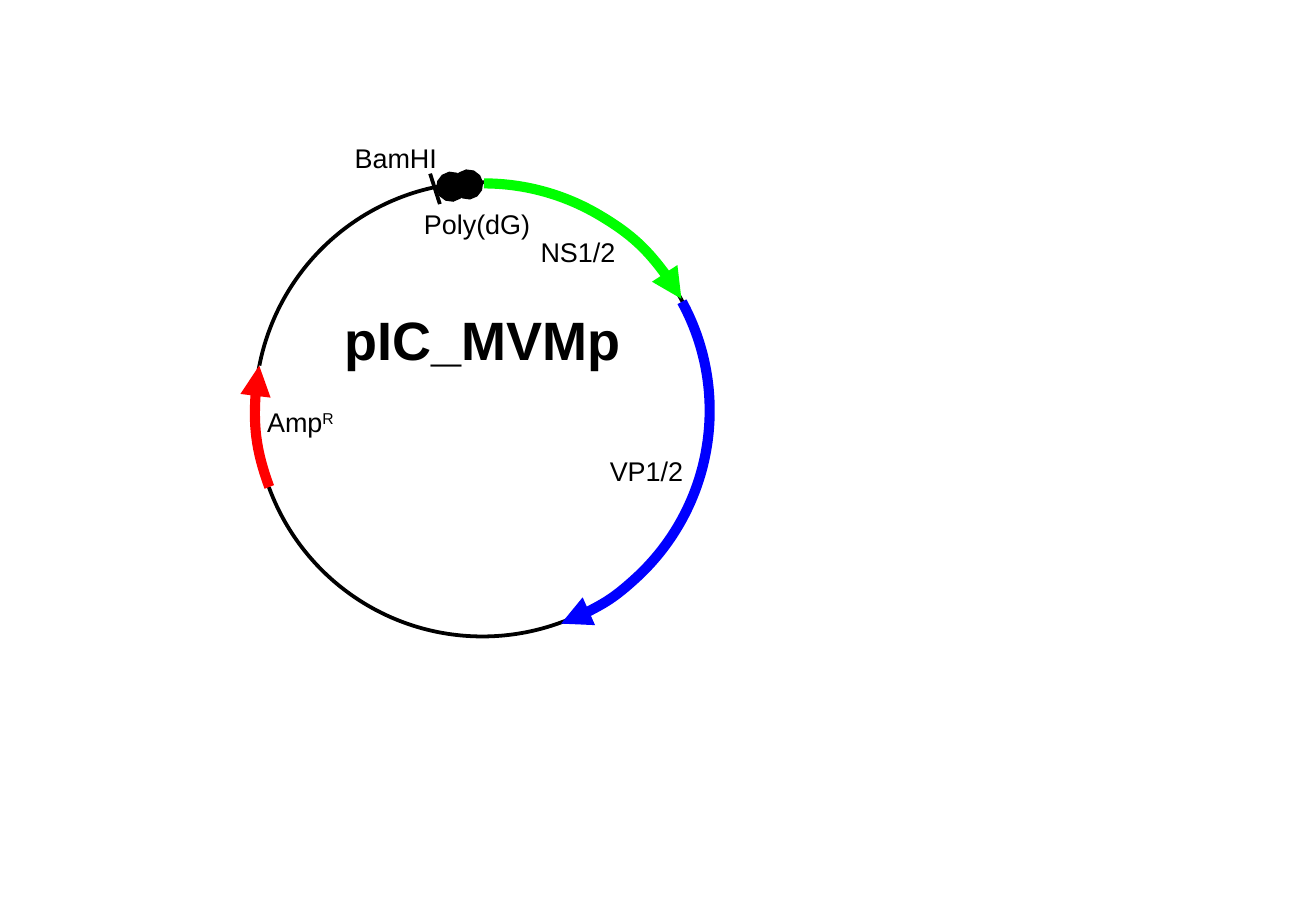
from typing import NamedTuple

from lxml.etree import SubElement
from pptx import Presentation
from pptx.dml.color import RGBColor
from pptx.enum.shapes import MSO_CONNECTOR, MSO_SHAPE
from pptx.enum.text import MSO_AUTO_SIZE
from pptx.oxml.ns import qn
from pptx.util import Inches, Pt

COLORS = {"black": "000000", "white": "FFFFFF", "green": "00FF00",
          "blue": "0000FF", "red": "FF0000"}
DIAMETER = 3.74
THIN, THICK = 2.25, 6
ADJUSTMENT_PER_DEGREE = 0.6  # 60000 angle units per degree, 100000 per adjustment


class Feature(NamedTuple):
    """A plasmid feature; start and stop are clockwise page angles from east."""
    left: float
    top: float
    rotation: float
    start: float
    stop: float
    color: str
    head: str = ""
    tail: str = "triangle"
    fill: str = ""


class Label(NamedTuple):
    """A label with its box, and an optional superscript."""
    text: str
    left: float
    top: float
    width: float
    superscript: str = ""


NS_GENE = Feature(2.11, 1.51, 330.5, 270.1, 330.54, "green")
VP_GENE = Feature(2.1, 1.51, 47.4, 331.39, 69.76, "blue")
POLY_DG = Feature(2.16, 1.51, 278.1, 260.25, 264.54, "black", "oval", "oval")
AMP_GENE = Feature(2.1, 1.49, 220.1, 159.7, 190.79, "red", fill="white")

LABELS = [
    Label("BamHI", 2.82, 1.12, 0.89),
    Label("Poly(dG)", 3.39, 1.66, 1.09),
    Label("NS1/2", 4.35, 1.89, 0.82),
    Label("VP1/2", 4.92, 3.69, 0.81),
    Label("Amp", 2.1, 3.29, 0.77, "R"),
]


def rgb(name: str) -> RGBColor:
    """Return the named colour."""
    return RGBColor.from_string(COLORS[name])


def style_line(item, color: str, width: float) -> None:
    """Set the outline colour and its width in points."""
    item.line.color.rgb = rgb(color)
    item.line.width = Pt(width)


def add_round(slide, preset, left: float, top: float, color: str,
              width: float, fill: str = ""):
    """Add a circle or an arc of the plasmid's diameter."""
    shape = slide.shapes.add_shape(preset, Inches(left), Inches(top),
                                   Inches(DIAMETER), Inches(DIAMETER))
    shape.shadow.inherit = False
    if fill:
        shape.fill.solid()
        shape.fill.fore_color.rgb = rgb(fill)
    else:
        shape.fill.background()
    style_line(shape, color, width)
    return shape


def add_feature(slide, feature: Feature) -> None:
    """Draw a feature as a thick arc with line ends."""
    arc = add_round(slide, MSO_SHAPE.ARC, feature.left, feature.top,
                    feature.color, THICK, feature.fill)
    arc.rotation = feature.rotation
    for index, angle in enumerate((feature.start, feature.stop)):
        arc.adjustments[index] = (angle - feature.rotation) % 360 * ADJUSTMENT_PER_DEGREE
    outline = arc.element.spPr.get_or_add_ln()
    for tag, ending in (("a:headEnd", feature.head), ("a:tailEnd", feature.tail)):
        if ending:
            SubElement(outline, qn(tag), type=ending)


def add_cut_site(slide) -> None:
    """Draw the tick that marks the restriction site."""
    tick = slide.shapes.add_connector(MSO_CONNECTOR.STRAIGHT, Inches(3.54), Inches(1.43),
                                      Inches(3.62), Inches(1.68))
    style_line(tick, "black", THIN)
    SubElement(tick.element.spPr, qn("a:effectLst"))


def add_text(slide, text: str, *, left: float, top: float, width: float,
             height: float = 0.37, size: float = 16, bold: bool = False,
             superscript: str = "") -> None:
    """Add a one-line text box, with an optional superscript."""
    box = slide.shapes.add_textbox(Inches(left), Inches(top), Inches(width), Inches(height))
    frame = box.text_frame
    frame.word_wrap = False
    frame.auto_size = MSO_AUTO_SIZE.SHAPE_TO_FIT_TEXT
    para = frame.paragraphs[0]
    for content, baseline in ((text, 0), (superscript, 30000)):
        if not content:
            continue
        span = para.add_run()
        span.text = content
        span.font.name = "Arial"
        span.font.size = Pt(size)
        span.font.bold = bold
        span.font.color.rgb = rgb("black")
        if baseline:
            span._r.get_or_add_rPr().set("baseline", str(baseline))


def main() -> None:
    """Build the plasmid map and save it."""
    deck = Presentation()
    deck.slide_width, deck.slide_height = Inches(10.83), Inches(7.5)
    page = deck.slides.add_slide(deck.slide_layouts[6])
    add_round(page, MSO_SHAPE.OVAL, 2.1, 1.5, "black", THIN)
    for feature in (NS_GENE, VP_GENE, POLY_DG):
        add_feature(page, feature)
    add_cut_site(page)
    add_feature(page, AMP_GENE)
    add_text(page, "pIC_MVMp", left=2.74, top=2.47, width=2.49, height=0.98,
             size=32, bold=True)
    for label in LABELS:
        add_text(page, label.text, left=label.left, top=label.top, width=label.width,
                 superscript=label.superscript)
    deck.save("out.pptx")


main()
